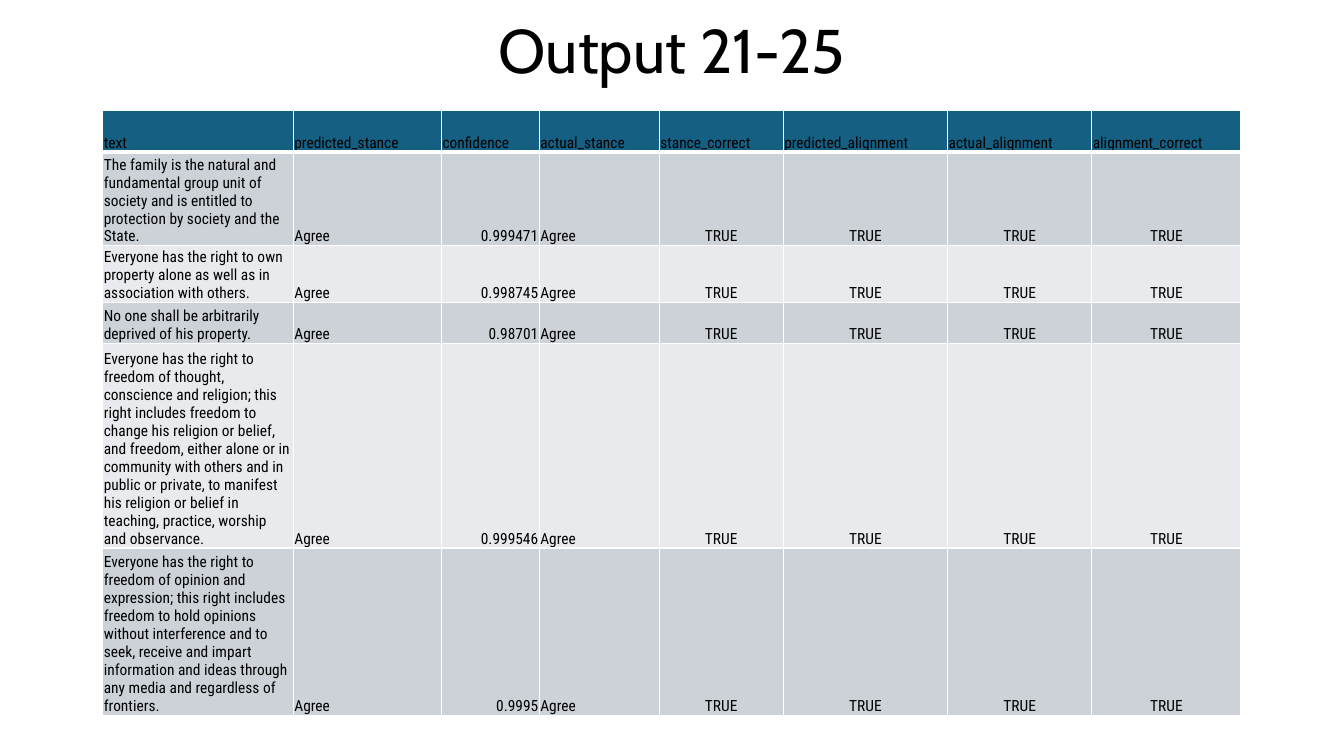
from lxml import etree
from pptx import Presentation
from pptx.dml.color import RGBColor
from pptx.enum.text import MSO_ANCHOR, PP_ALIGN
from pptx.oxml.ns import qn
from pptx.util import Pt

PX = 9144
LEFT, CENTER, RIGHT = PP_ALIGN.LEFT, PP_ALIGN.CENTER, PP_ALIGN.RIGHT
MIDDLE, BOTTOM = MSO_ANCHOR.MIDDLE, MSO_ANCHOR.BOTTOM

HEADERS = [
    "text", "predicted_stance", "confidence", "actual_stance", "stance_correct",
    "predicted_alignment", "actual_alignment", "alignment_correct",
]
COLUMN_WIDTHS = [189, 147, 97, 119, 123, 163, 143, 148]
ALIGNMENTS = [LEFT, LEFT, RIGHT, LEFT] + [CENTER] * 4
ROW_HEIGHT = 41
HEADER_FILL = "156082"
BAND_FILLS = ["E8EAED", "CCD2D8"]
PREDICTIONS = [
    ("The family is the natural and fundamental group unit of society and is "
     "entitled to protection by society and the State.", "0.999471"),
    ("Everyone has the right to own property alone as well as in association "
     "with others.", "0.998745"),
    ("No one shall be arbitrarily deprived of his property.", "0.98701"),
    ("Everyone has the right to freedom of thought, conscience and religion; "
     "this right includes freedom to change his religion or belief, and freedom, "
     "either alone or in community with others and in public or private, to "
     "manifest his religion or belief in teaching, practice, worship and "
     "observance.", "0.999546"),
    ("Everyone has the right to freedom of opinion and expression; this right "
     "includes freedom to hold opinions without interference and to seek, receive "
     "and impart information and ideas through any media and regardless of "
     "frontiers.", "0.9995"),
]


def px(length):
    return length * PX


def color(value):
    return RGBColor.from_string(value)


def write(frame, text, *, font, size, align=LEFT, spacing=1.0, ink="000000"):
    frame.word_wrap = True
    para = frame.paragraphs[0]
    para.alignment = align
    para.line_spacing = spacing
    span = para.add_run()
    span.text = text
    span.font.name = font
    span.font.size = Pt(size)
    span.font.bold = False
    span.font.color.rgb = color(ink)


def add_title(page, text):
    box = page.shapes.add_textbox(px(474), px(-47), px(385), px(200))
    box.text_frame.vertical_anchor = MIDDLE
    write(box.text_frame, text, font="Cabin", size=44, align=CENTER, spacing=0.9)


def set_borders(cell, top, bottom):
    properties = cell._tc.get_or_add_tcPr()
    sides = [("a:lnL", 1), ("a:lnR", 1), ("a:lnT", top), ("a:lnB", bottom)]
    for position, (side, width) in enumerate(sides):
        line = etree.Element(qn(side), w=str(Pt(width)))
        fill = etree.SubElement(line, qn("a:solidFill"))
        etree.SubElement(fill, qn("a:srgbClr"), val="FFFFFF")
        properties.insert(position, line)


def fill_cell(cell, text, fill, align, top, bottom):
    cell.fill.solid()
    cell.fill.fore_color.rgb = color(fill)
    cell.vertical_anchor = BOTTOM
    cell.margin_left = cell.margin_right = cell.margin_top = px(1)
    cell.margin_bottom = 0
    write(cell.text_frame, text, font="Roboto Condensed", size=11, align=align)
    set_borders(cell, top, bottom)


def add_results(page):
    rows = [HEADERS]
    for sentence, confidence in PREDICTIONS:
        rows.append([sentence, "Agree", confidence, "Agree"] + ["TRUE"] * 4)
    frame = page.shapes.add_table(
        len(rows), len(HEADERS), px(102), px(110), px(sum(COLUMN_WIDTHS)), px(598)
    )
    table = frame.table
    table.first_row = table.horz_banding = False
    for column, width in zip(table.columns, COLUMN_WIDTHS):
        column.width = px(width)
    for row_index, values in enumerate(rows):
        table.rows[row_index].height = px(ROW_HEIGHT)
        is_header = row_index == 0
        fill = HEADER_FILL if is_header else BAND_FILLS[row_index % 2]
        top = 3 if row_index == 1 else 1
        bottom = 3 if is_header else 1
        for column_index, text in enumerate(values):
            align = LEFT if is_header else ALIGNMENTS[column_index]
            fill_cell(table.cell(row_index, column_index), text, fill, align, top, bottom)
    frame.height = px(598)


def main():
    deck = Presentation()
    deck.slide_width, deck.slide_height = px(1333), px(750)
    page = deck.slides.add_slide(deck.slide_layouts[6])
    add_title(page, "Output 21-25")
    add_results(page)
    deck.save("out.pptx")


if __name__ == "__main__":
    main()
